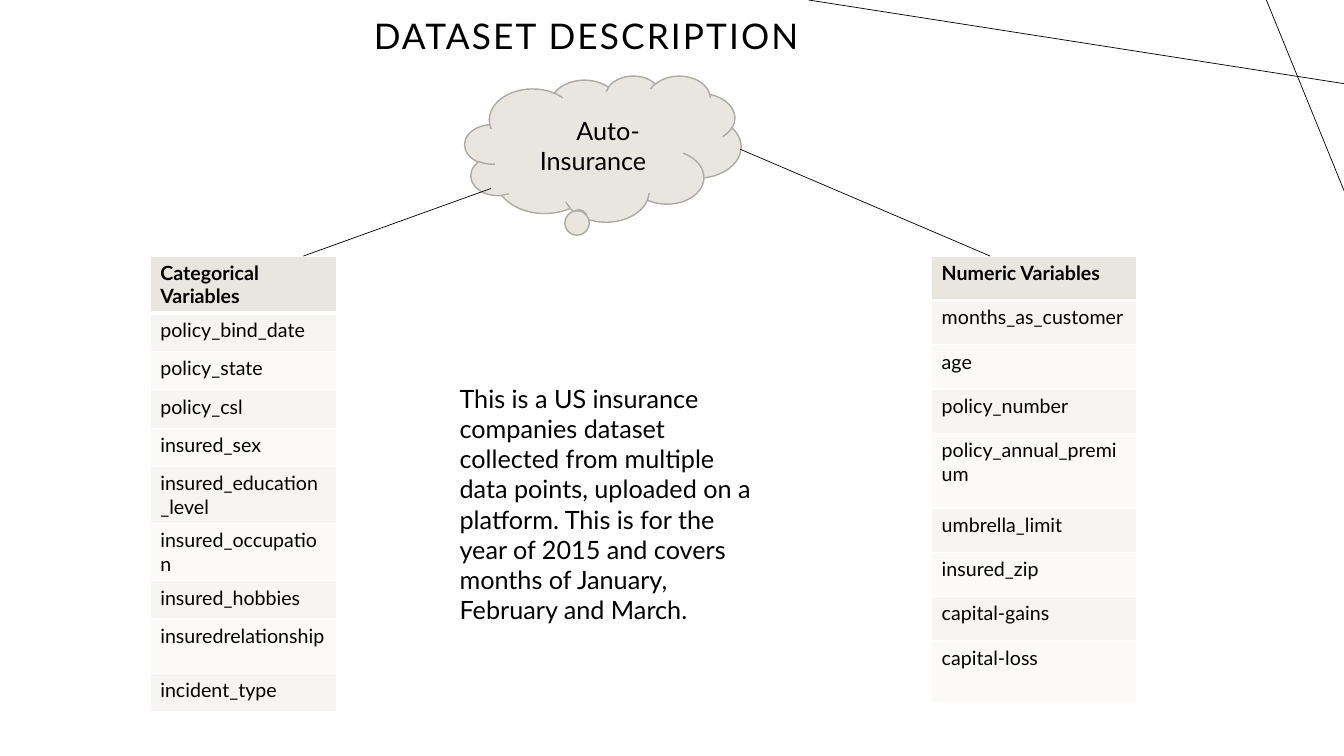
from lxml import etree
from pptx import Presentation
from pptx.dml.color import RGBColor
from pptx.enum.shapes import MSO_CONNECTOR, MSO_SHAPE
from pptx.enum.text import MSO_ANCHOR, PP_ALIGN
from pptx.oxml.ns import qn
from pptx.util import Inches, Pt


def color(value):
    return RGBColor.from_string(value)


def write(tf, text, size, bold=False, align=PP_ALIGN.LEFT):
    tf.word_wrap = True
    p = tf.paragraphs[0]
    p.text = text
    p.alignment = align
    r = p.runs[0]
    r.font.name = "Lato"
    r.font.size = Pt(size)
    r.font.bold = bold
    r.font.color.rgb = color("000000")
    return p


prs = Presentation()
prs.slide_width = Inches(13.33)
prs.slide_height = Inches(7.5)
s = prs.slides.add_slide(prs.slide_layouts[6])

title = s.shapes.add_textbox(Inches(1.21), Inches(0), Inches(9.21), Inches(0.76))
title.text_frame.vertical_anchor = MSO_ANCHOR.MIDDLE
p = write(title.text_frame, "DATASET DESCRIPTION", 25.2, align=PP_ALIGN.CENTER)
p.line_spacing = 0.9
p.runs[0].font._element.set("spc", "150")

cloud = s.shapes.add_shape(
    MSO_SHAPE.CLOUD_CALLOUT, Inches(4.61), Inches(0.75), Inches(2.74), Inches(1.45)
)
cloud.adjustments[0] = -0.09
cloud.adjustments[1] = 0.49
cloud.shadow.inherit = False
cloud.fill.solid()
cloud.fill.fore_color.rgb = color("E9E6DF")
cloud.line.color.rgb = color("ACAAA5")
cloud.line.width = Pt(1)
cloud.text_frame.vertical_anchor = MSO_ANCHOR.MIDDLE
p = write(cloud.text_frame, "Auto-Insurance", 18, align=PP_ALIGN.CENTER)
p._p.get_or_add_pPr().set("indent", str(Inches(0.3)))

tables = [
    (1.49, 1.85, [
        ("Categorical Variables", 0.38),
        ("policy_bind_date", 0.38),
        ("policy_state", 0.38),
        ("policy_csl", 0.38),
        ("insured_sex", 0.38),
        ("insured_education_level", 0.54),
        ("insured_occupation", 0.38),
        ("insured_hobbies", 0.38),
        ("insuredrelationship", 0.54),
        ("incident_type", 0.38),
    ]),
    (9.24, 2.03, [
        ("Numeric Variables", 0.44),
        ("months_as_customer", 0.44),
        ("age", 0.44),
        ("policy_number", 0.44),
        ("policy_annual_premium", 0.74),
        ("umbrella_limit", 0.44),
        ("insured_zip", 0.44),
        ("capital-gains", 0.44),
        ("capital-loss", 0.61),
    ]),
]
for left, width, rows in tables:
    height = sum(h for name, h in rows)
    table = s.shapes.add_table(
        len(rows), 1, Inches(left), Inches(2.54), Inches(width), Inches(height)
    ).table
    table.horz_banding = False
    for i, (name, h) in enumerate(rows):
        table.rows[i].height = Inches(h)
        cell = table.cell(i, 0)
        header = i == 0
        write(cell.text_frame, name, 14, bold=header)
        cell.fill.solid()
        band = "F7F5F3" if i % 2 else "FBFAF9"
        cell.fill.fore_color.rgb = color("E9E6DF" if header else band)
        tcPr = cell._tc.get_or_add_tcPr()
        for n, side in enumerate(("lnL", "lnR", "lnT", "lnB")):
            weight = 3 if header and side == "lnB" else 1
            ln = etree.Element(qn("a:" + side), w=str(Pt(weight)))
            fill = etree.SubElement(ln, qn("a:solidFill"))
            etree.SubElement(fill, qn("a:srgbClr"), val="FFFFFF")
            tcPr.insert(n, ln)

lines = [
    (13.33, 0.83, 8.02, 0),
    (12.56, 0, 13.33, 1.89),
    (4.87, 1.87, 3.01, 2.54),
    (7.34, 1.48, 9.82, 2.54),
]
for x1, y1, x2, y2 in lines:
    line = s.shapes.add_connector(
        MSO_CONNECTOR.STRAIGHT, Inches(x1), Inches(y1), Inches(x2), Inches(y2)
    )
    line.line.color.rgb = color("000000")
    line.line.width = Pt(0.5)
    etree.SubElement(line._element.spPr, qn("a:effectLst"))

about = s.shapes.add_textbox(Inches(4.46), Inches(3.75), Inches(3.19), Inches(2.52))
write(
    about.text_frame,
    "This is a US insurance companies dataset collected from multiple data points, "
    "uploaded on a platform. This is for the year of 2015 and covers months of "
    "January, February and March.",
    18,
)

prs.save("out.pptx")
